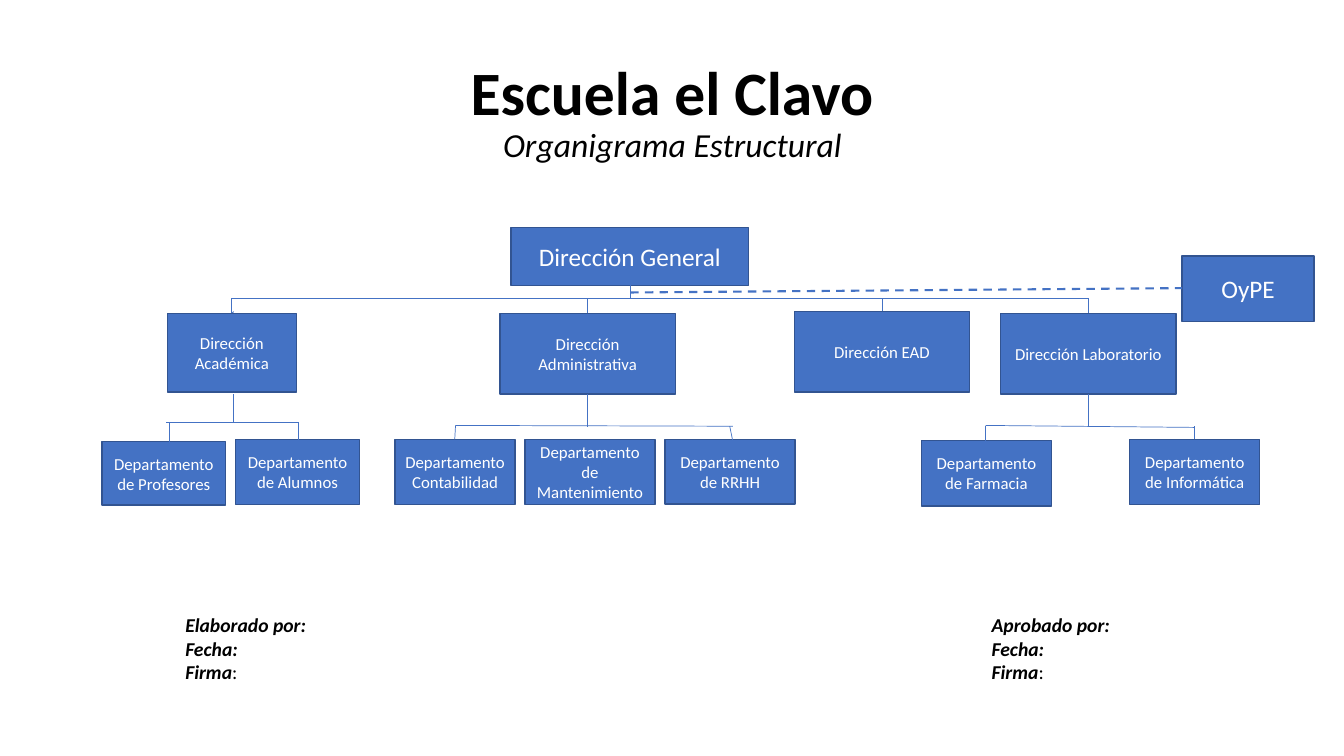
from dataclasses import dataclass

import lxml.etree
import pptx
import pptx.dml.color
import pptx.enum.dml
import pptx.enum.shapes
import pptx.enum.text
import pptx.oxml.ns
import pptx.util

Cm, Pt = pptx.util.Cm, pptx.util.Pt
RGB = pptx.dml.color.RGBColor.from_string
ALIGN = pptx.enum.text.PP_ALIGN
ANCHOR = pptx.enum.text.MSO_ANCHOR


@dataclass(frozen=True)
class Theme:
    font: str = "Calibri"
    ink: str = "000000"
    on_unit: str = "FFFFFF"
    unit: str = "4472C4"
    border: str = "325491"
    title: int = 44
    subtitle: int = 24
    top_unit: int = 18
    signature: int = 14
    small_unit: int = 12
    border_width: float = 1
    link_width: float = 0.5
    staff_width: float = 1.5


@dataclass(frozen=True)
class Box:
    """A region in centimetres."""
    left: float
    top: float
    width: float
    height: float

    def inner(self, dx, dy, width, height):
        return Box(self.left + dx, self.top + dy, width, height)

    def lengths(self):
        return [Cm(v) for v in (self.left, self.top, self.width, self.height)]


THEME = Theme()


def write(paragraph, words, size, color=THEME.ink, **style):
    run = paragraph.add_run()
    run.text = words
    run.font.color.rgb = RGB(color)
    formats = {"name": THEME.font, "size": Pt(size), **style}
    for key, value in formats.items():
        setattr(run.font, key, value)


def unit(slide, box, name, size=THEME.small_unit):
    """One box of the chart."""
    frame_box = slide.shapes.add_shape(
        pptx.enum.shapes.MSO_SHAPE.RECTANGLE, *box.lengths())
    frame_box.shadow.inherit = False
    frame_box.fill.solid()
    frame_box.fill.fore_color.rgb = RGB(THEME.unit)
    frame_box.line.color.rgb = RGB(THEME.border)
    frame_box.line.width = Pt(THEME.border_width)
    label = frame_box.text_frame
    for key, value in {"word_wrap": True, "vertical_anchor": ANCHOR.MIDDLE}.items():
        setattr(label, key, value)
    label.paragraphs[0].alignment = ALIGN.CENTER
    write(label.paragraphs[0], name, size, THEME.on_unit)


def link(slide, box, start, end, width=THEME.link_width, dash=None):
    """A line between two points measured from the corner of the box."""
    points = [Cm(v) for x, y in (start, end) for v in (box.left + x, box.top + y)]
    line = slide.shapes.add_connector(
        pptx.enum.shapes.MSO_CONNECTOR.STRAIGHT, *points)
    for key, value in {"width": Pt(width), "dash_style": dash}.items():
        setattr(line.line, key, value)
    line.line.color.rgb = RGB(THEME.unit)
    lxml.etree.SubElement(line._element.spPr, pptx.oxml.ns.qn("a:effectLst"))


def heading(slide, box, title, subtitle):
    frame = slide.shapes.add_textbox(*box.lengths()).text_frame
    for key, value in {"word_wrap": True, "vertical_anchor": ANCHOR.MIDDLE}.items():
        setattr(frame, key, value)
    line = frame.paragraphs[0]
    for key, value in {"alignment": ALIGN.CENTER, "line_spacing": 0.9}.items():
        setattr(line, key, value)
    write(line, title, THEME.title, bold=True)
    line.add_line_break()
    write(line, subtitle, THEME.subtitle, italic=True)


def top_level(slide, box):
    """General direction, its staff office and the bar over the directions."""
    bar_y, stem_x = 1.78, 10.04
    drops = {0: 2.16, 8.97: 2.16, 16.39: 2.11, 21.59: 2.16}
    unit(slide, box.inner(7.04, 0, 5.99, 1.45), "Dirección General", THEME.top_unit)
    unit(slide, box.inner(23.95, 0.71, 3.33, 1.65), "OyPE", THEME.top_unit)
    link(slide, box, (0, bar_y), (box.width, bar_y))
    link(slide, box, (stem_x, 1.45), (stem_x, bar_y))
    for x, bottom in drops.items():
        link(slide, box, (x, bar_y), (x, bottom))
    link(slide, box, (0, 2.16), (0.05, 2.11))
    link(slide, box, (stem_x, 1.63), (23.95, 1.52), THEME.staff_width,
         pptx.enum.dml.MSO_LINE.DASH)


def branch(slide, box, direction, departments, links):
    """A direction with its departments below."""
    for name, place in [direction, *departments]:
        unit(slide, box.inner(*place), name)
    for start, end in links:
        link(slide, box, start, end)


def signature(slide, box, role):
    frame = slide.shapes.add_textbox(*box.lengths()).text_frame
    frame.word_wrap = True
    frame.auto_size = pptx.enum.text.MSO_AUTO_SIZE.SHAPE_TO_FIT_TEXT
    for index, words in enumerate((role, "Fecha:", "Firma")):
        line = frame.add_paragraph() if index else frame.paragraphs[0]
        write(line, words, THEME.signature, bold=True, italic=True)
    write(line, ":", THEME.signature)


# Each branch: region, direction, departments, links (bar, stem, drops)
BRANCHES = [
    (Box(2.57, 7.9, 6.49, 4.83),
     ("Dirección Académica", (1.65, 0, 3.25, 1.98)),
     [("Departamento de Profesores", (0, 3.23, 3.12, 1.6)),
      ("Departamento de Alumnos", (3.37, 3.17, 3.12, 1.65))],
     [((1.62, 2.74), (4.95, 2.74)), ((3.3, 2.03), (3.3, 2.77)),
      ((1.7, 2.77), (1.7, 3.25)), ((4.95, 2.74), (4.95, 3.23))]),
    (Box(9.96, 7.9, 10.08, 4.82),
     ("Dirección Administrativa", (2.64, 0, 4.42, 2.03)),
     [("Departamento Contabilidad", (0, 3.17, 3.02, 1.65)),
      ("Departamento de Mantenimiento", (3.27, 3.17, 3.28, 1.65)),
      ("Departamento de RRHH", (6.8, 3.17, 3.28, 1.63))],
     [((1.52, 2.82), (8.51, 2.84)), ((4.85, 2.03), (4.85, 2.87)),
      ((1.52, 2.82), (1.5, 3.17)), ((8.43, 2.84), (8.51, 3.23))]),
    (Box(20.02, 7.85, 4.42, 2.03),
     ("Dirección EAD", (0, 0, 4.42, 2.03)), [], []),
    (Box(23.22, 7.9, 8.53, 4.85),
     ("Dirección Laboratorio", (2, 0, 4.42, 2.03)),
     [("Departamento de Farmacia", (0, 3.2, 3.28, 1.65)),
      ("Departamento de Informática", (5.25, 3.17, 3.28, 1.65))],
     [((1.62, 2.82), (6.88, 2.87)), ((4.21, 2.03), (4.21, 2.84)),
      ((1.62, 2.84), (1.62, 3.2)), ((6.88, 2.84), (6.88, 3.17))]),
]


def main():
    deck = pptx.Presentation()
    deck.slide_width, deck.slide_height = Cm(33.87), Cm(19.05)
    slide = deck.slides.add_slide(deck.slide_layouts[6])
    heading(slide, Box(2.34, 1.02, 29.21, 3.68),
            "Escuela el Clavo", "Organigrama Estructural")
    top_level(slide, Box(5.84, 5.74, 21.59, 2.16))
    for region in BRANCHES:
        branch(slide, *region)
    for left, role in ((4.42, "Elaborado por:"), (24.74, "Aprobado por:")):
        signature(slide, Box(left, 15.32, 3.73, 2.06), role)
    deck.save("out.pptx")


if __name__ == "__main__":
    main()
